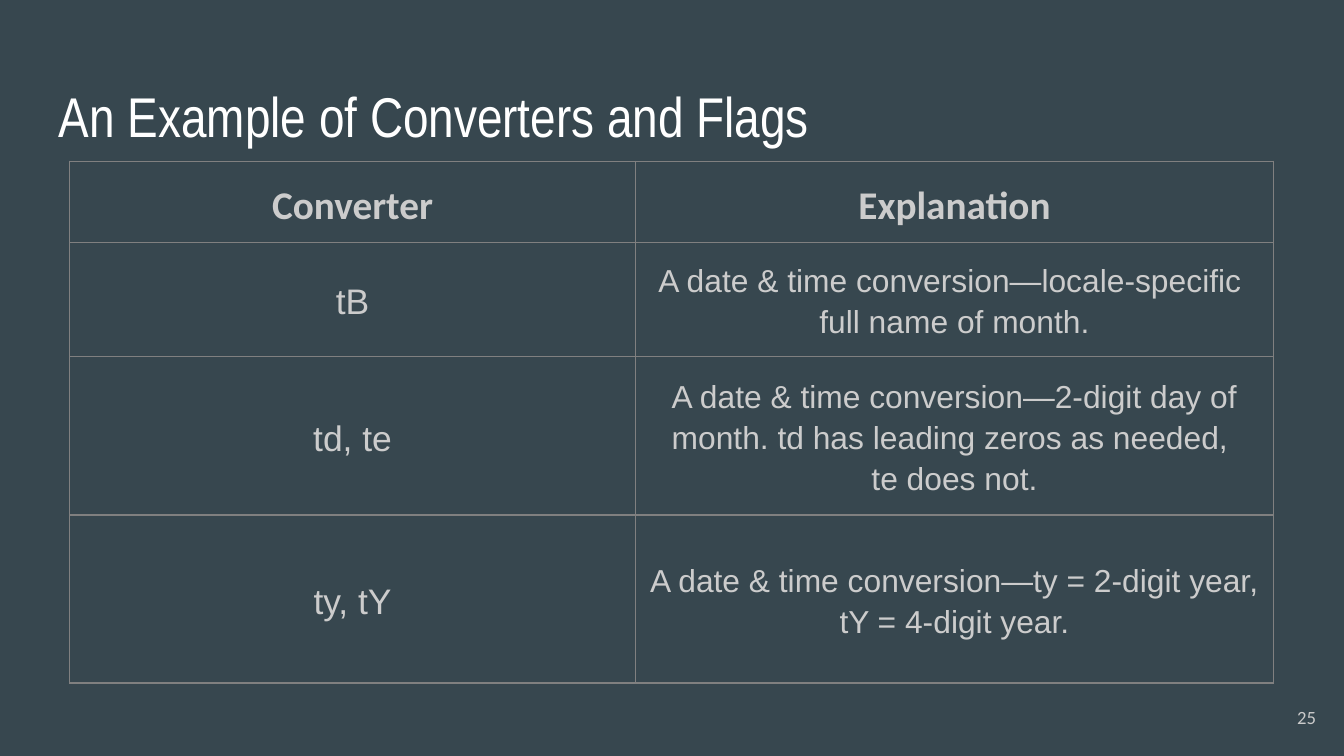
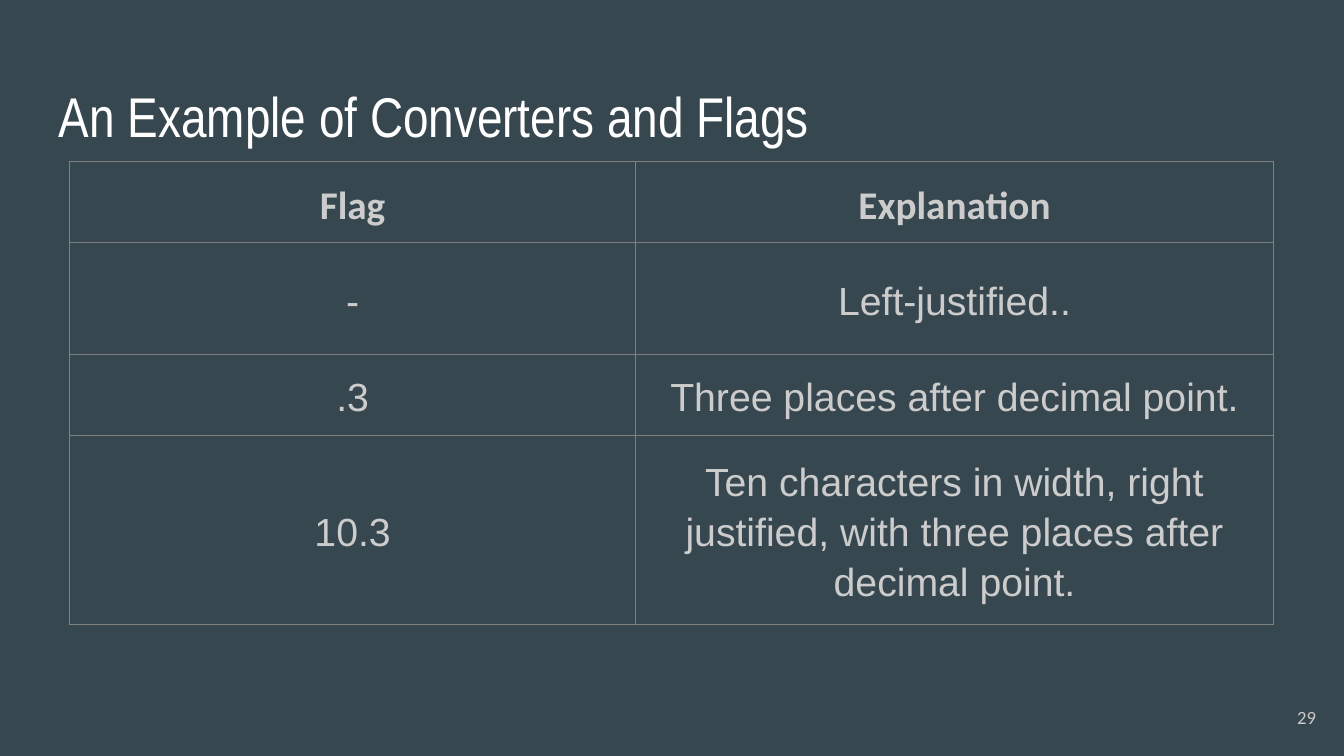
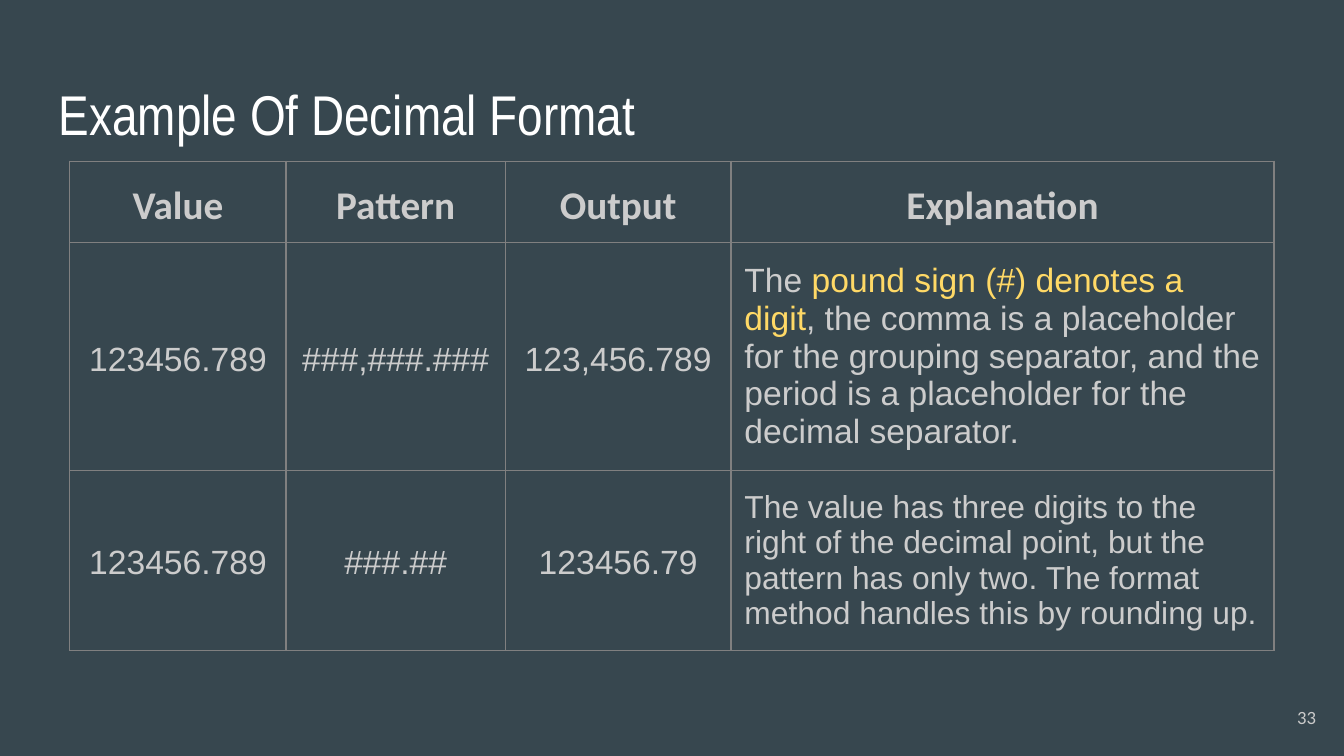
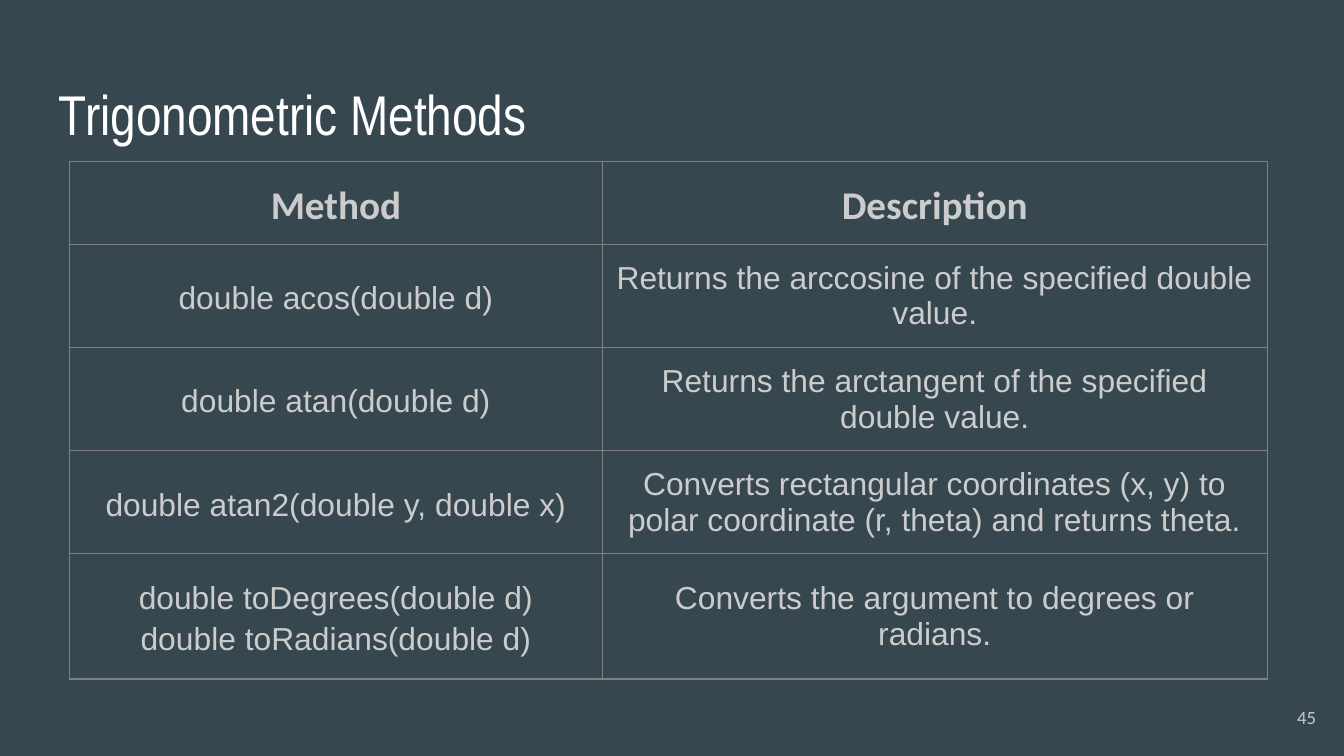
from dataclasses import dataclass
from typing import Any

from lxml.etree import SubElement
from pptx import Presentation
from pptx.dml.color import RGBColor
from pptx.enum.text import MSO_ANCHOR, PP_ALIGN
from pptx.oxml.ns import qn
from pptx.util import Pt


# Theme: colours, fonts and type sizes
@dataclass(frozen=True)
class Theme:
    background: str = "37474F"
    title: str = "FFFFFF"
    number: str = "CACACA"
    text: str = "CCCCCC"
    accent: str = "FFD966"
    border: str = "808080"
    title_font: str = "Arial Narrow"
    head_font: str = "Calibri"
    body_font: str = "Arial"
    title_size: float = 30
    head_size: float = 21
    large_size: float = 19
    medium_size: float = 18
    body_size: float = 17
    number_size: float = 10
    inset: float = 7.2
    border_width: float = 0.75
    loose: float = 1.15


THEME = Theme()
TABLE_LEFT, TABLE_TOP = 37.4, 86.4


@dataclass(frozen=True)
class Cell:
    """A table cell; each line of text is a paragraph."""
    text: str
    size: float = THEME.body_size
    spacing: float | None = THEME.loose
    align: PP_ALIGN = PP_ALIGN.CENTER
    highlight: str = ""
    font: str = THEME.body_font
    bold: bool = False


@dataclass(frozen=True)
class TableSlide:
    title: str
    number: int
    columns: tuple[float, ...]
    heights: tuple[float, ...]
    heads: tuple[str, ...]
    rows: tuple[tuple[Cell, ...], ...]
    title_top: float = 36.7


def head(text: str) -> Cell:
    return Cell(text, THEME.head_size, font=THEME.head_font, bold=True)


def large(text: str) -> Cell:
    return Cell(text, THEME.large_size)


def medium(text: str) -> Cell:
    return Cell(text, THEME.medium_size)


def flag(text: str) -> Cell:
    return Cell(text, THEME.head_size)


def tight(text: str) -> Cell:
    return Cell(text, spacing=None)


def note(text: str, size: float, highlight: str = "") -> Cell:
    return Cell(text, size, None, PP_ALIGN.LEFT, highlight)


# Slide content
SLIDES = (
    TableSlide(
        "An Example of Converters and Flags", 25,
        (303, 342), (41, 60, 36.7, 90),
        ("Converter", "Explanation"),
        (
            (large("tB"),
             Cell("A date & time conversion—locale-specific \nfull name of month.")),
            (large("td, te"),
             Cell("A date & time conversion—2-digit day of month. "
                  "td has leading zeros as needed, \nte does not.")),
            (large("ty, tY"),
             Cell("A date & time conversion—ty = 2-digit year, tY = 4-digit year.")),
        ),
    ),
    TableSlide(
        "An Example of Converters and Flags", 29,
        (303, 342), (41, 60, 36.7, 36.7),
        ("Flag", "Explanation"),
        (
            (flag("-"), flag("Left-justified..")),
            (flag(".3"), flag("Three places after decimal point.")),
            (flag("10.3"),
             flag("Ten characters in width, right justified, "
                  "with three places after decimal point.")),
        ),
    ),
    TableSlide(
        "Example Of Decimal Format", 33,
        (115.9, 117.4, 121, 290.9), (41, 60, 36.7),
        ("Value", "Pattern", "Output", "Explanation"),
        (
            (medium("123456.789"), medium("###,###.###"), medium("123,456.789"),
             note("The pound sign (#) denotes a digit, the comma is a placeholder "
                  "for the grouping separator, and the period is a placeholder "
                  "for the decimal separator.",
                  THEME.medium_size, "pound sign (#) denotes a digit")),
            (medium("123456.789"), medium("###.##"), medium("123456.79"),
             note("The value has three digits to the right of the decimal point, "
                  "but the pattern has only two. The format method handles this "
                  "by rounding up.", THEME.body_size)),
        ),
        title_top=35.3,
    ),
    TableSlide(
        "Trigonometric Methods", 45,
        (285.2, 356.4), (44.6, 45.4, 45.4, 49.7, 67),
        ("Method", "Description"),
        (
            (Cell("double acos(double d)"),
             tight("Returns the arccosine of the specified double value.")),
            (Cell("double atan(double d)"),
             tight("Returns the arctangent of the specified double value.")),
            (Cell("double atan2(double y, double x)"),
             tight("Converts rectangular coordinates (x, y) to polar coordinate "
                   "(r, theta) and returns theta.")),
            (Cell("double toDegrees(double d)\ndouble toRadians(double d)"),
             tight("Converts the argument to degrees or radians.")),
        ),
        title_top=35.3,
    ),
)


# Drawing helpers
def apply(target: Any, values: dict[str, Any]) -> None:
    for name, value in values.items():
        setattr(target, name, value)


def margins() -> dict[str, Any]:
    sides = ("left", "right", "top", "bottom")
    return {f"margin_{side}": Pt(THEME.inset) for side in sides}


def add_run(p: Any, text: str, font: str, size: float, color: str,
            bold: bool = False) -> None:
    r = p.add_run()
    r.text = text
    apply(r.font, {"name": font, "size": Pt(size), "bold": bold})
    r.font.color.rgb = RGBColor.from_string(color)


def add_label(s: Any, box: tuple[float, ...], text: str, font: str, size: float,
              color: str, align: PP_ALIGN, anchor: MSO_ANCHOR) -> None:
    tf = s.shapes.add_textbox(*map(Pt, box)).text_frame
    apply(tf, {"word_wrap": True, "vertical_anchor": anchor, **margins()})
    p = tf.paragraphs[0]
    p.alignment = align
    add_run(p, text, font, size, color)


def add_borders(cell: Any) -> None:
    tc_pr = cell._tc.get_or_add_tcPr()
    for side in ("lnL", "lnR", "lnT", "lnB"):
        ln = SubElement(tc_pr, qn(f"a:{side}"), w=str(Pt(THEME.border_width)))
        fill = SubElement(ln, qn("a:solidFill"))
        SubElement(fill, qn("a:srgbClr"), val=THEME.border)


def fill_cell(cell: Any, content: Cell) -> None:
    add_borders(cell)
    cell.fill.background()
    apply(cell, {"vertical_anchor": MSO_ANCHOR.MIDDLE, **margins()})
    tf = cell.text_frame
    for i, line in enumerate(content.text.split("\n")):
        p = tf.add_paragraph() if i else tf.paragraphs[0]
        apply(p, {"alignment": content.align, "line_spacing": content.spacing})
        parts = line.partition(content.highlight) if content.highlight else (line,)
        for part in parts:
            color = THEME.accent if part == content.highlight else THEME.text
            add_run(p, part, content.font, content.size, color, content.bold)


def add_grid(s: Any, data: TableSlide) -> None:
    rows = (tuple(map(head, data.heads)), *data.rows)
    frame = s.shapes.add_table(
        len(rows), len(data.columns), Pt(TABLE_LEFT), Pt(TABLE_TOP),
        Pt(sum(data.columns)), Pt(sum(data.heights)))
    table = frame.table
    apply(table, {"first_row": False, "horz_banding": False})
    for column, width in zip(table.columns, data.columns):
        column.width = Pt(width)
    for row, height, contents in zip(table.rows, data.heights, rows):
        row.height = Pt(height)
        for cell, content in zip(row.cells, contents):
            fill_cell(cell, content)


def add_slide(prs: Any, data: TableSlide) -> None:
    s = prs.slides.add_slide(prs.slide_layouts[6])
    s.background.fill.solid()
    s.background.fill.fore_color.rgb = RGBColor.from_string(THEME.background)
    add_label(s, (24.5, data.title_top, 671, 45.4), data.title, THEME.title_font,
              THEME.title_size, THEME.title, PP_ALIGN.LEFT, MSO_ANCHOR.TOP)
    add_label(s, (668.9, 368.6, 43.2, 31), str(data.number), THEME.head_font,
              THEME.number_size, THEME.number, PP_ALIGN.RIGHT, MSO_ANCHOR.MIDDLE)
    add_grid(s, data)


def main() -> None:
    prs = Presentation()
    apply(prs, {"slide_width": Pt(720), "slide_height": Pt(405)})
    for data in SLIDES:
        add_slide(prs, data)
    prs.save("out.pptx")


if __name__ == "__main__":
    main()
